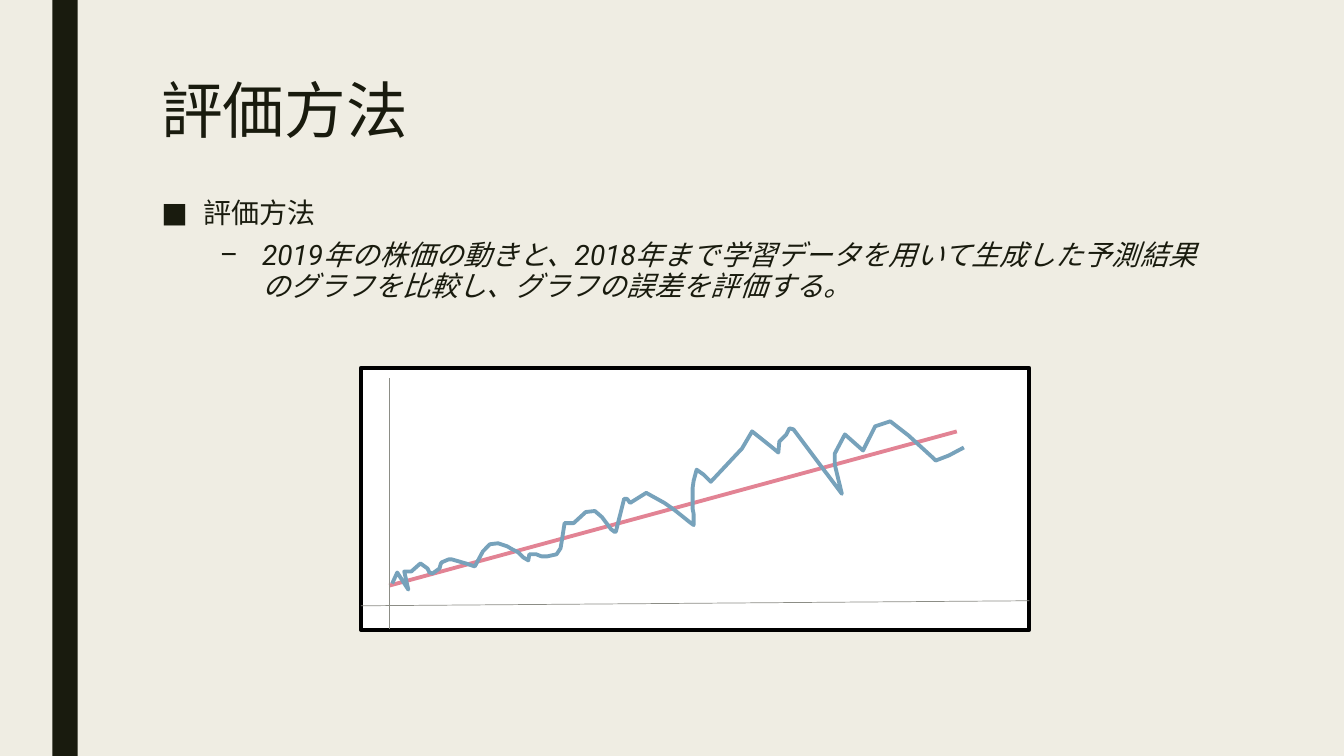
"""Build the evaluation method slide with a sketched price chart."""
from dataclasses import dataclass

from lxml import etree
from pptx import Presentation
from pptx.dml.color import RGBColor
from pptx.enum.shapes import MSO_CONNECTOR, MSO_SHAPE
from pptx.enum.text import MSO_ANCHOR, MSO_AUTO_SIZE, PP_ALIGN
from pptx.oxml.ns import qn
from pptx.util import Inches, Pt

STRAIGHT = MSO_CONNECTOR.STRAIGHT
RECT = MSO_SHAPE.RECTANGLE
TOP = MSO_ANCHOR.TOP
NO_FIT = MSO_AUTO_SIZE.NONE
LEFT = PP_ALIGN.LEFT

FONT = "Roboto"
CREAM = RGBColor(0xEF, 0xED, 0xE3)
INK = RGBColor(0x19, 0x1B, 0x0E)
WHITE = RGBColor(0xFF, 0xFF, 0xFF)
BLACK = RGBColor(0x00, 0x00, 0x00)
PINK = RGBColor(0xE2, 0x83, 0x94)
BLUE = RGBColor(0x77, 0xA2, 0xBB)
GRAY = RGBColor(0x8C, 0x8D, 0x86)
THICK, THIN = 2.75, 0.5


@dataclass
class Line:
    start: tuple[float, float]
    end: tuple[float, float]
    color: RGBColor
    width: float


@dataclass
class Bullet:
    text: str
    char: str
    level: int
    margin: float
    before: float
    italic: bool


BULLETS = [
    Bullet("評価方法", "■", 0, 0.42, 10, False),
    Bullet("2019年の株価の動きと、2018年まで学習データを用いて生成した予測結果の"
           "グラフを比較し、グラフの誤差を評価する。", "–", 1, 1, 5, True),
]
TREND = Line((3.86, 5.81), (9.49, 4.28), PINK, THICK)
AXES = [
    Line((3.86, 3.75), (3.86, 6.24), GRAY, THIN),
    Line((3.58, 6.01), (10.21, 5.96), GRAY, THIN),
]
PRICES = [
    (3.89, 5.79), (3.94, 5.68), (4.05, 5.85), (4.01, 5.67), (4.08, 5.67),
    (4.17, 5.59), (4.24, 5.64), (4.26, 5.68), (4.29, 5.69), (4.36, 5.64),
    (4.37, 5.6), (4.38, 5.58), (4.45, 5.55), (4.48, 5.55), (4.62, 5.59),
    (4.71, 5.62), (4.79, 5.47), (4.86, 5.4), (4.94, 5.39), (5.03, 5.42),
    (5.08, 5.45), (5.14, 5.48), (5.19, 5.53), (5.24, 5.56), (5.25, 5.5),
    (5.32, 5.5), (5.37, 5.52), (5.43, 5.52), (5.52, 5.5), (5.56, 5.44),
    (5.57, 5.38), (5.6, 5.19), (5.69, 5.19), (5.81, 5.08), (5.9, 5.07),
    (5.97, 5.13), (6.06, 5.25), (6.1, 5.28), (6.11, 5.27), (6.15, 5.11),
    (6.19, 4.95), (6.22, 4.95), (6.25, 4.99), (6.41, 4.89), (6.59, 4.99),
    (6.69, 5.06), (6.74, 5.1), (6.84, 5.18), (6.88, 5.21), (6.88, 5.1),
    (6.87, 5.05), (6.87, 4.84), (6.88, 4.77), (6.91, 4.66), (6.98, 4.71),
    (7.05, 4.78), (7.36, 4.45), (7.46, 4.28), (7.66, 4.44), (7.72, 4.49),
    (7.73, 4.38), (7.8, 4.31), (7.83, 4.25), (7.87, 4.26), (8.35, 4.9),
    (8.28, 4.61), (8.28, 4.5), (8.38, 4.31), (8.56, 4.47), (8.68, 4.23),
    (8.83, 4.18), (9.01, 4.32), (9.24, 4.53), (9.28, 4.57), (9.41, 4.52),
    (9.56, 4.44),
]


def place(sp, left: float, top: float, width: float, height: float):
    sp.left, sp.top = Inches(left), Inches(top)
    sp.width, sp.height = Inches(width), Inches(height)
    tf = sp.text_frame
    tf.word_wrap, tf.auto_size, tf.vertical_anchor = True, NO_FIT, TOP
    return tf


def write(p, text: str, *, size: float, spacing: float, italic: bool = False,
          before: float = 0, after: float = 0) -> None:
    p.alignment, p.line_spacing = LEFT, spacing
    p.space_before, p.space_after = Pt(before), Pt(after)
    r = p.add_run()
    r.text = text
    r.font.name, r.font.size, r.font.italic = FONT, Pt(size), italic
    r.font.color.rgb = INK


def add_bullet(p, bullet: Bullet) -> None:
    p.level = bullet.level
    write(p, bullet.text, size=20, spacing=0.94, italic=bullet.italic,
          before=bullet.before, after=2)
    pPr = p._p.get_or_add_pPr()
    pPr.set("marL", str(Inches(bullet.margin)))
    pPr.set("indent", str(Inches(-0.42)))
    etree.SubElement(pPr, qn("a:buFont"), typeface=FONT)
    etree.SubElement(pPr, qn("a:buChar"), char=bullet.char)


def add_rect(s, left: float, top: float, width: float, height: float,
             fill: RGBColor, line: RGBColor | None = None) -> None:
    sp = s.shapes.add_shape(RECT, Inches(left), Inches(top),
                            Inches(width), Inches(height))
    sp.shadow.inherit = False
    sp.fill.solid()
    sp.fill.fore_color.rgb = fill
    if line is None:
        sp.line.fill.background()
    else:
        sp.line.color.rgb, sp.line.width = line, Pt(THICK)


def add_line(s, line: Line) -> None:
    sp = s.shapes.add_connector(STRAIGHT, *map(Inches, line.start + line.end))
    sp.line.color.rgb, sp.line.width = line.color, Pt(line.width)
    etree.SubElement(sp._element.spPr, qn("a:effectLst"))


def add_curve(s, points: list[tuple[float, float]], color: RGBColor) -> None:
    emu = [(Inches(x), Inches(y)) for x, y in points]
    builder = s.shapes.build_freeform(*emu[0])
    builder.add_line_segments(emu[1:], close=False)
    sp = builder.convert_to_shape()
    sp.shadow.inherit = False
    sp.fill.background()
    sp.line.color.rgb, sp.line.width = color, Pt(THICK)


def main() -> None:
    prs = Presentation()
    prs.slide_width, prs.slide_height = Inches(13.33), Inches(7.5)
    s = prs.slides.add_slide(prs.slide_layouts[1])
    s.background.fill.solid()
    s.background.fill.fore_color.rgb = CREAM

    add_rect(s, 0.52, 0, 0.25, 7.5, INK)
    title, body = s.placeholders
    tf = place(title, 1.5, 0.75, 10.5, 1.62)
    write(tf.paragraphs[0], "評価方法", size=44, spacing=0.89)
    tf = place(body, 1.5, 1.92, 10.5, 4.5)
    for i, bullet in enumerate(BULLETS):
        add_bullet(tf.add_paragraph() if i else tf.paragraphs[0], bullet)

    add_rect(s, 3.58, 3.65, 6.63, 2.6, WHITE, BLACK)
    add_line(s, TREND)
    add_curve(s, PRICES, BLUE)
    for axis in AXES:
        add_line(s, axis)
    prs.save("out.pptx")


if __name__ == "__main__":
    main()
